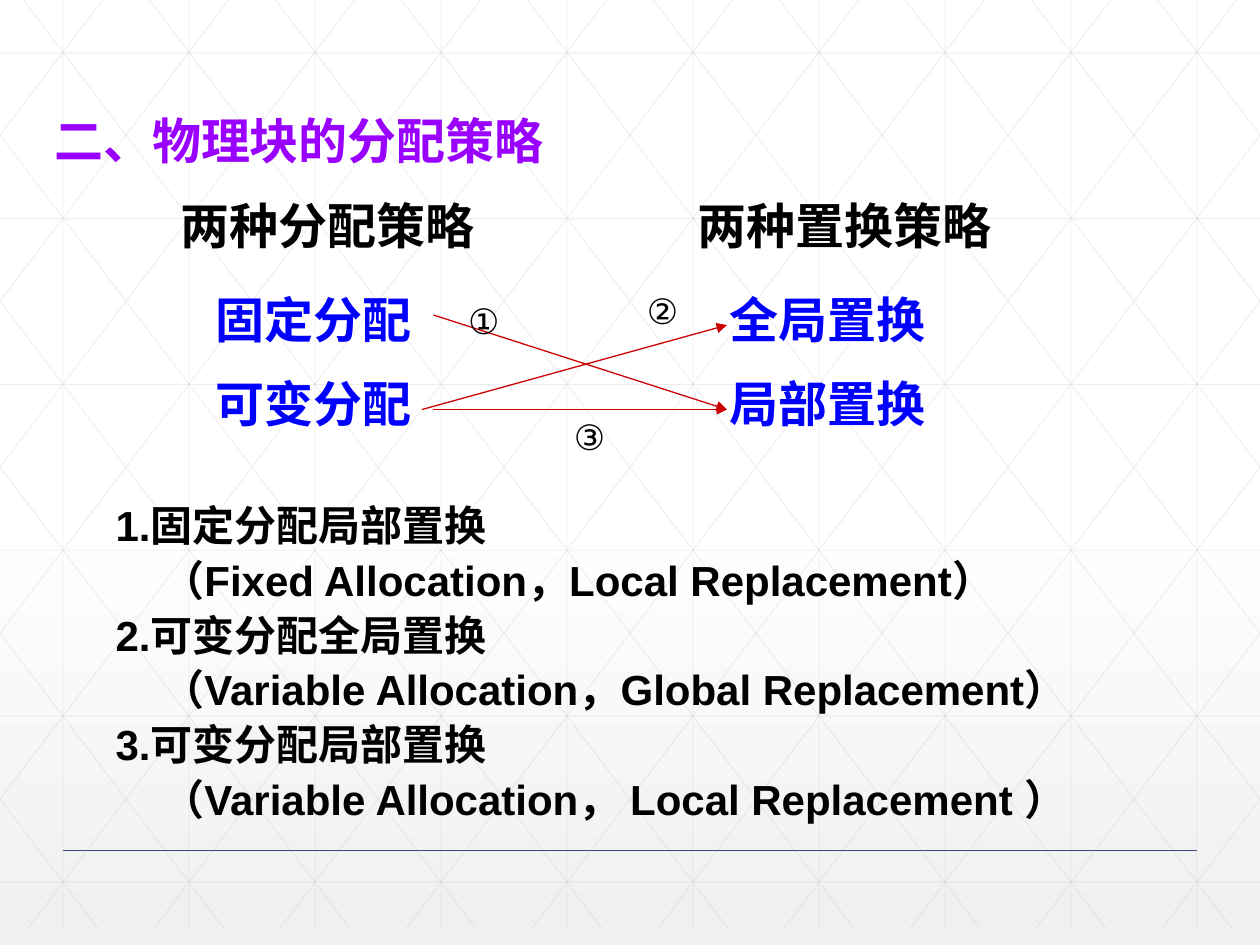
from lxml.etree import SubElement
from pptx import Presentation
from pptx.dml.color import RGBColor
from pptx.enum.shapes import MSO_CONNECTOR
from pptx.enum.text import MSO_ANCHOR, MSO_AUTO_SIZE, PP_ALIGN
from pptx.oxml.ns import qn
from pptx.util import Pt

COLORS = {"title": "9900FF", "text": "000000", "choice": "0000FF", "arrow": "CC0000",
          "grid": "BFBFBF", "rule": "384C81", "top": "FFFFFF", "bottom": "F0F0F0"}
WIDTH, HEIGHT = 720, 540
GRID_BOTTOM, GRID_STEP, ROW_STEP = 530.6, 72, 94.75
DIAGONAL_START, DIAGONAL_RUN = 13.4, 402.7

TITLE = "二、物理块的分配策略"
HEADINGS = [("两种分配策略", 90.7, PP_ALIGN.CENTER), ("两种置换策略", 391.7, PP_ALIGN.LEFT)]
CHOICES = [(["固定分配", "可变分配"], 115.9), (["全局置换", "局部置换"], 409.7)]
PAIRINGS = [
    ("①", (259.2, 167.8), (247.7, 180), (415.4, 234)),
    ("②", (361.4, 162), (241.2, 234), (415.4, 185.8)),
    ("③", (319.7, 234), (247.7, 234), (415.4, 234)),
]
STRATEGIES = [
    ("1.固定分配局部置换", "（Fixed Allocation，Local Replacement）"),
    ("2.可变分配全局置换", "（Variable Allocation，Global Replacement）"),
    ("3.可变分配局部置换", "（Variable Allocation， Local Replacement ）"),
]


def color(name):
    return RGBColor.from_string(COLORS[name])


def add_line(page, start, end, name, width, alpha=None, arrow=False):
    line = page.shapes.add_connector(
        MSO_CONNECTOR.STRAIGHT, *(Pt(value) for value in (*start, *end)))
    line.line.color.rgb = color(name)
    line.line.width = Pt(width)
    outline = line.line._ln
    if alpha:
        rgb = outline.find(".//" + qn("a:srgbClr"))
        SubElement(rgb, qn("a:alpha"), val=str(alpha * 1000))
    if arrow:
        SubElement(outline, qn("a:tailEnd"), type="triangle")
    SubElement(line._element.spPr, qn("a:effectLst"))


def add_grid(page):
    segments = []
    for column in range(10):
        x = GRID_STEP * (column + 0.5)
        segments.append(((x, 0), (x, GRID_BOTTOM)))
    for row in range(6):
        y = 30.2 + ROW_STEP * row
        segments.append(((0, y), (WIDTH, y)))
    slope = GRID_BOTTOM / DIAGONAL_RUN
    for step in range(-5, 10):
        x = DIAGONAL_START + GRID_STEP * step
        left, right = max(x, 0), min(x + DIAGONAL_RUN, WIDTH)
        upper, lower = (left - x) * slope, (right - x) * slope
        segments.append(((left, upper), (right, lower)))
        segments.append(((WIDTH - left, upper), (WIDTH - right, lower)))
    for start, end in segments:
        add_line(page, start, end, "grid", 0.5, alpha=25)


def write(box, lines, name, size, bold=True, align=PP_ALIGN.LEFT, gap=0, wrap=True, indents=(0,)):
    frame = box.text_frame
    settings = {"word_wrap": wrap, "auto_size": MSO_AUTO_SIZE.NONE,
                "vertical_anchor": MSO_ANCHOR.TOP}
    for key, value in settings.items():
        setattr(frame, key, value)
    for index, text in enumerate(lines):
        para = frame.add_paragraph() if index else frame.paragraphs[0]
        indent = indents[index % len(indents)]
        if indent:
            para._p.get_or_add_pPr().set("marL", str(Pt(indent)))
        para.alignment = align
        if index:
            para.space_before = Pt(gap)
        span = para.add_run()
        span.text = text
        for key, value in {"name": "Arial", "size": Pt(size), "bold": bold}.items():
            setattr(span.font, key, value)
        span.font.color.rgb = color(name)


def add_text(page, place, lines, name, size, **options):
    box = page.shapes.add_textbox(*(Pt(value) for value in place))
    write(box, lines, name, size, **options)


def main():
    deck = Presentation()
    deck.slide_width, deck.slide_height = Pt(WIDTH), Pt(HEIGHT)
    page = deck.slides.add_slide(deck.slide_layouts[5])

    fill = page.background.fill
    fill.gradient()
    fill.gradient_angle = 270
    for stop, (position, name) in zip(fill.gradient_stops, [(0.53, "top"), (1, "bottom")]):
        stop.position = position
        stop.color.rgb = color(name)

    add_grid(page)
    add_line(page, (36, 486), (684, 486), "rule", 1)

    title = page.shapes.title
    for key, value in {"left": 23.8, "top": 59.8, "width": 679.7, "height": 41}.items():
        setattr(title, key, Pt(value))
    write(title, [TITLE], "title", 28)
    page.shapes._spTree.append(title._element)

    for text, left, align in HEADINGS:
        add_text(page, (left, 108, 192.6, 41), [text], "text", 28, align=align)
    for lines, left in CHOICES:
        add_text(page, (left, 162, 126.7, 91.4), lines, "choice", 28,
                 align=PP_ALIGN.CENTER, gap=14, wrap=False)
    for mark, corner, start, end in PAIRINGS:
        add_line(page, start, end, "arrow", 0.75, arrow=True)
        add_text(page, (*corner, 34.6, 31), [mark], "text", 20,
                 bold=False, align=PP_ALIGN.CENTER, wrap=False)
    add_text(page, (59, 282.2, 602, 196.6), [line for pair in STRATEGIES for line in pair],
             "text", 24, gap=2.4, indents=(0, 26.7))
    deck.save("out.pptx")


if __name__ == "__main__":
    main()
